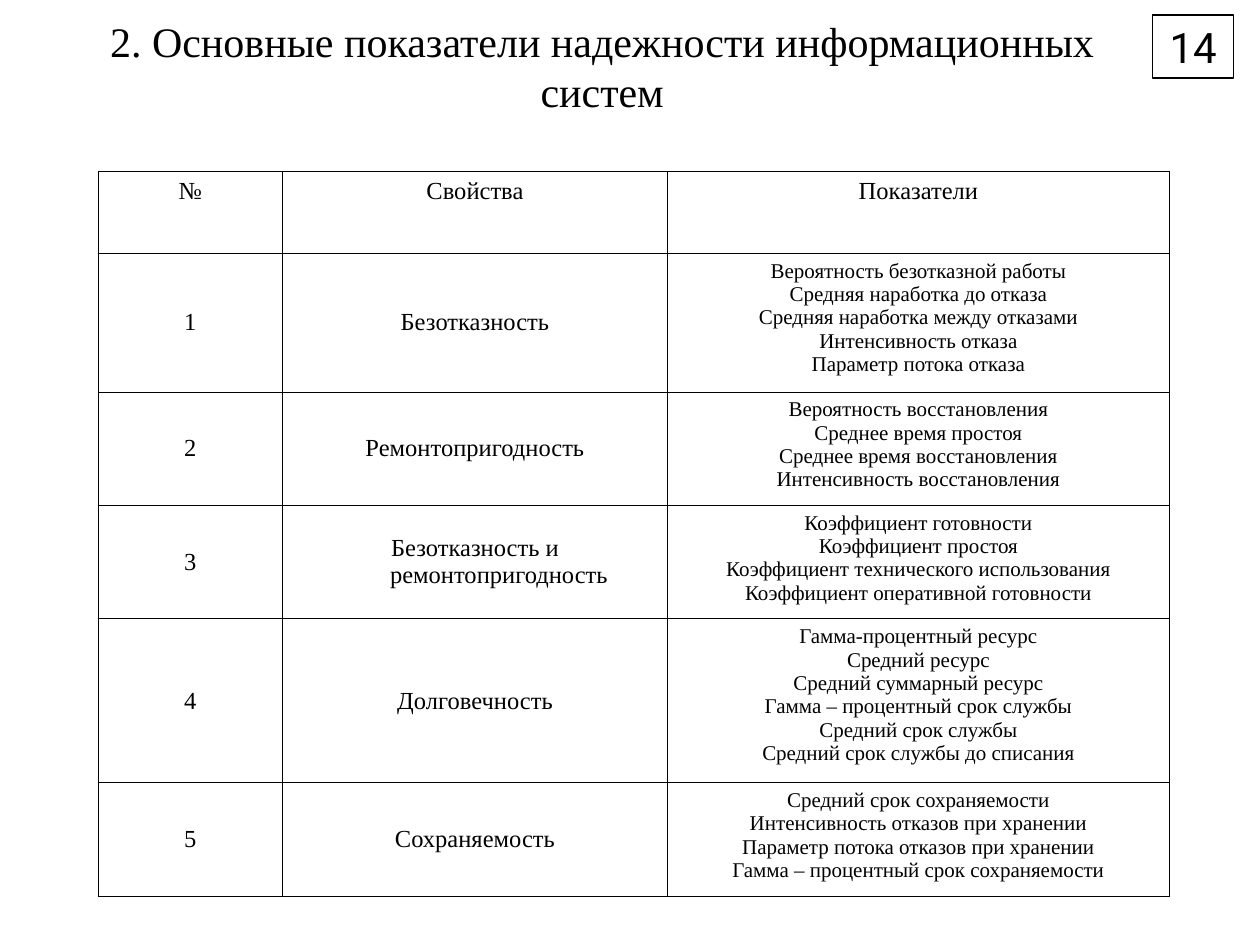
import pptx
import pptx.util
import pptx.dml.color
import pptx.enum.shapes
import pptx.enum.text
import pptx.oxml.ns
from dataclasses import dataclass
from lxml import etree

Inches = pptx.util.Inches
Pt = pptx.util.Pt
Anchor = pptx.enum.text.MSO_ANCHOR
Shape = pptx.enum.shapes.MSO_SHAPE
qn = pptx.oxml.ns.qn


@dataclass
class Theme:
    ink: str = "000000"
    serif: str = "Times New Roman"
    sans: str = "Roboto"
    title: int = 24
    body: int = 14
    small: int = 12
    line: float = 0.75
    grid: float = 0.45
    hang: float = 0.38


class Deck:
    def __init__(self, theme, slide):
        self.theme = theme
        self.slide = slide
        self.ink = pptx.dml.color.RGBColor.from_string(theme.ink)

    def label(self, frame, lines, size, font, hang=0):
        """Put each line in its own centred paragraph."""
        style = {"size": Pt(size), "name": font}
        for i, line in enumerate(lines):
            para = frame.add_paragraph() if i else frame.paragraphs[0]
            para.alignment = pptx.enum.text.PP_ALIGN.CENTER
            if hang:
                props = para._p.get_or_add_pPr()
                props.set("marL", str(Inches(hang)))
                props.set("indent", str(-Inches(hang)))
            run = para.add_run()
            run.text = line
            for key, value in style.items():
                setattr(run.font, key, value)
            run.font.color.rgb = self.ink

    def title(self, text, *area):
        box = self.slide.shapes.add_textbox(*map(Inches, area))
        form = {"word_wrap": True, "vertical_anchor": Anchor.MIDDLE}
        for key, value in form.items():
            setattr(box.text_frame, key, value)
        self.label(box.text_frame, [text], self.theme.title, self.theme.serif)

    def badge(self, text, *area):
        box = self.slide.shapes.add_shape(Shape.RECTANGLE, *map(Inches, area))
        box.shadow.inherit = False
        box.fill.background()
        box.line.color.rgb = self.ink
        box.line.width = Pt(self.theme.line)
        box.text_frame.vertical_anchor = Anchor.TOP
        self.label(box.text_frame, [text], self.theme.title, self.theme.sans)

    def border(self, cell):
        props = cell._tc.get_or_add_tcPr()
        for side in ("lnL", "lnR", "lnT", "lnB"):
            line = etree.SubElement(props, qn(f"a:{side}"), w=str(Pt(self.theme.grid)))
            fill = etree.SubElement(line, qn("a:solidFill"))
            etree.SubElement(fill, qn("a:srgbClr"), val=self.theme.ink)

    def table(self, rows, widths, heights, left, top):
        area = (left, top, sum(widths), sum(heights))
        grid = self.slide.shapes.add_table(
            len(rows), len(widths), *map(Inches, area)).table
        for key in ("first_row", "horz_banding"):
            setattr(grid, key, False)
        for col, width in zip(grid.columns, widths):
            col.width = Inches(width)
        for row, height in zip(grid.rows, heights):
            row.height = Inches(height)

        for r, row in enumerate(rows):
            for c, lines in enumerate(row):
                cell = grid.cell(r, c)
                self.border(cell)
                cell.fill.background()
                listed = r > 0 and c == len(widths) - 1
                if r > 0 and not listed:
                    cell.vertical_anchor = Anchor.MIDDLE
                size = self.theme.small if listed else self.theme.body
                self.label(cell.text_frame, lines, size,
                           self.theme.serif, self.theme.hang)


HEAD = ["№", "Свойства", "Показатели"]
TRAITS = {
    "Безотказность": [
        "Вероятность безотказной работы",
        "Средняя наработка до отказа",
        "Средняя наработка между отказами",
        "Интенсивность отказа",
        "Параметр потока отказа",
    ],
    "Ремонтопригодность": [
        "Вероятность восстановления",
        "Среднее время простоя",
        "Среднее время восстановления",
        "Интенсивность восстановления",
    ],
    "Безотказность и ремонтопригодность": [
        "Коэффициент готовности",
        "Коэффициент простоя",
        "Коэффициент технического использования",
        "Коэффициент оперативной готовности",
    ],
    "Долговечность": [
        "Гамма-процентный ресурс",
        "Средний ресурс",
        "Средний суммарный ресурс",
        "Гамма – процентный срок службы",
        "Средний срок службы",
        "Средний срок службы до списания",
    ],
    "Сохраняемость": [
        "Средний срок сохраняемости",
        "Интенсивность отказов при хранении",
        "Параметр потока отказов при хранении",
        "Гамма – процентный срок сохраняемости",
    ],
}


def main():
    show = pptx.Presentation()
    show.slide_width, show.slide_height = Inches(10), Inches(7.5)
    deck = Deck(Theme(), show.slides.add_slide(show.slide_layouts[6]))

    # Page number and heading
    deck.badge("14", 9.15, 0.12, 0.64, 0.5)
    deck.title("2. Основные показатели надежности информационных систем",
               0.53, 0.18, 8.5, 0.68)

    # Table of traits and their measures
    rows = [[[word] for word in HEAD]]
    for i, (trait, items) in enumerate(TRAITS.items(), 1):
        rows.append([[str(i)], [trait], items])
    deck.table(rows, [1.46, 3.06, 3.98], [0.65, 1.1, 0.9, 0.9, 1.3, 0.9],
               0.78, 1.36)

    show.save("out.pptx")


if __name__ == "__main__":
    main()
